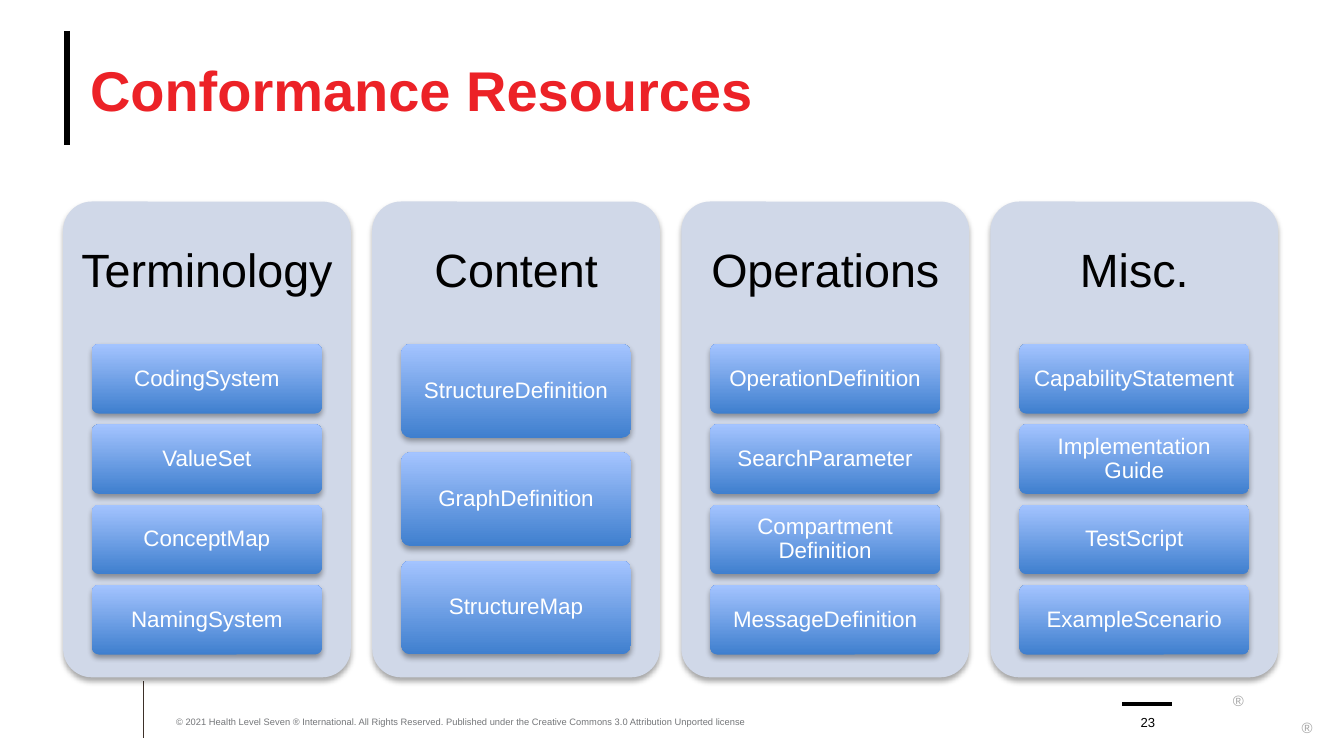
from lxml.etree import SubElement
from pptx import Presentation
from pptx.dml.color import RGBColor
from pptx.enum.shapes import MSO_CONNECTOR, MSO_SHAPE
from pptx.enum.text import MSO_ANCHOR, PP_ALIGN
from pptx.oxml.ns import qn
from pptx.util import Inches, Pt

TITLE = "Conformance Resources"
COLUMNS = [
    ("Terminology", ["CodingSystem", "ValueSet", "ConceptMap", "NamingSystem"]),
    ("Content", ["StructureDefinition", "GraphDefinition", "StructureMap"]),
    ("Operations", ["OperationDefinition", "SearchParameter",
                    "Compartment Definition", "MessageDefinition"]),
    ("Misc.", ["CapabilityStatement", "Implementation Guide",
               "TestScript", "ExampleScenario"]),
]
COPYRIGHT = ("© 2021 Health Level Seven ® International. All Rights Reserved. "
             "Published under the Creative Commons 3.0 Attribution Unported license")
PAGE = "23"
MARKS = [(9.16, 5.1), (9.67, 5.3)]
RULES = [  # x1, y1, x2, y2, colour, points
    (0.5, 0.23, 0.5, 1.08, "black", 3.25),
    (1.07, 5.07, 1.07, 5.49, "brown", 0.5),
    (8.35, 5.24, 8.72, 5.24, "black", 2),
]
COLORS = {
    "black": "000000", "brown": "3D3029", "red": "EC2227", "gray": "747679",
    "mark": "A6A6A6", "panel": "D0D8E8", "deep": "3F7FCE", "light": "A4C4FF",
    "white": "FFFFFF",
}

PANEL_LEFT, PANEL_TOP, PANEL_W, PANEL_H = 0.47, 1.5, 2.14, 3.54
PANEL_PITCH = 2.3
HEADING_H = 1.06
CARD_W, STACK_H = 1.71, 2.31
GAP_RATIO = 0.154  # gap between cards relative to card height


def rgb(name):
    return RGBColor.from_string(COLORS[name])


def write(shape, text, size, color, bold=False, align=PP_ALIGN.LEFT,
          anchor=MSO_ANCHOR.MIDDLE, inset=0, spacing=None, wrap=True):
    tf = shape.text_frame
    tf.word_wrap = wrap
    tf.vertical_anchor = anchor
    tf.margin_left = tf.margin_right = Inches(inset)
    tf.margin_top = tf.margin_bottom = Inches(inset)
    tf.text = text
    p = tf.paragraphs[0]
    p.alignment = align
    p.line_spacing = spacing
    font = p.runs[0].font
    font.name, font.size, font.bold = "Arial", Pt(size), bold
    font.color.rgb = rgb(color)
    return tf


def add_text(slide, x, y, w, h, *args, **kwargs):
    box = slide.shapes.add_textbox(Inches(x), Inches(y), Inches(w), Inches(h))
    return write(box, *args, **kwargs)


def add_rule(slide, x1, y1, x2, y2, color, width):
    line = slide.shapes.add_connector(
        MSO_CONNECTOR.STRAIGHT, Inches(x1), Inches(y1), Inches(x2), Inches(y2))
    line.line.color.rgb = rgb(color)
    line.line.width = Pt(width)
    SubElement(line._element.spPr, qn("a:effectLst"))


def add_rounded(slide, x, y, w, h):
    """Borderless rounded rectangle with a soft shadow below it."""
    s = slide.shapes.add_shape(
        MSO_SHAPE.ROUNDED_RECTANGLE, Inches(x), Inches(y), Inches(w), Inches(h))
    s.adjustments[0] = 0.1
    s.line.fill.background()
    s.shadow.inherit = False
    effects = s._element.spPr.find(qn("a:effectLst"))
    shadow = SubElement(effects, qn("a:outerShdw"), blurRad=str(Pt(3.1)),
                        dist=str(Pt(1.8)), dir="5400000", rotWithShape="0")
    color = SubElement(shadow, qn("a:srgbClr"), val=COLORS["black"])
    SubElement(color, qn("a:alpha"), val="35000")
    return s


def add_card(slide, x, y, h, text):
    s = add_rounded(slide, x, y, CARD_W, h)
    s.fill.gradient()
    s.fill.gradient_angle = 90
    for stop, name in zip(s.fill.gradient_stops, ("deep", "light")):
        stop.color.rgb = rgb(name)
    write(s, text, 12, "white", align=PP_ALIGN.CENTER, inset=0.03, spacing=0.9)


def add_column(slide, x, heading, items):
    panel = add_rounded(slide, x, PANEL_TOP, PANEL_W, PANEL_H)
    panel.fill.solid()
    panel.fill.fore_color.rgb = rgb("panel")
    add_text(slide, x, PANEL_TOP, PANEL_W, HEADING_H, heading, 25, "black",
             align=PP_ALIGN.CENTER, inset=0.1, spacing=0.9)
    n = len(items)
    card_h = STACK_H / (n + (n - 1) * GAP_RATIO)
    card_x = x + (PANEL_W - CARD_W) / 2
    for i, item in enumerate(items):
        y = PANEL_TOP + HEADING_H + i * card_h * (1 + GAP_RATIO)
        add_card(slide, card_x, y, card_h, item)


def main():
    prs = Presentation()
    prs.slide_width = Inches(10)
    prs.slide_height = prs.slide_width * 9 // 16
    slide = prs.slides.add_slide(prs.slide_layouts[6])

    for rule in RULES:
        add_rule(slide, *rule)
    for x, y in MARKS:
        tf = add_text(slide, x, y, 0.11, 0.09, "®", 8, "mark", wrap=False,
                      align=PP_ALIGN.CENTER, anchor=MSO_ANCHOR.TOP)
        tf.margin_top = Inches(0.05)
    add_text(slide, 0.67, 0.23, 9, 0.86, TITLE, 30, "red", bold=True)
    add_text(slide, 1.31, 5.24, 4.95, 0.17, COPYRIGHT, 5, "gray",
             anchor=MSO_ANCHOR.BOTTOM)
    add_text(slide, 8.39, 5.24, 0.3, 0.19, PAGE, 7, "black",
             align=PP_ALIGN.CENTER, anchor=MSO_ANCHOR.BOTTOM)
    for i, (heading, items) in enumerate(COLUMNS):
        add_column(slide, PANEL_LEFT + i * PANEL_PITCH, heading, items)

    prs.save("out.pptx")


if __name__ == "__main__":
    main()
